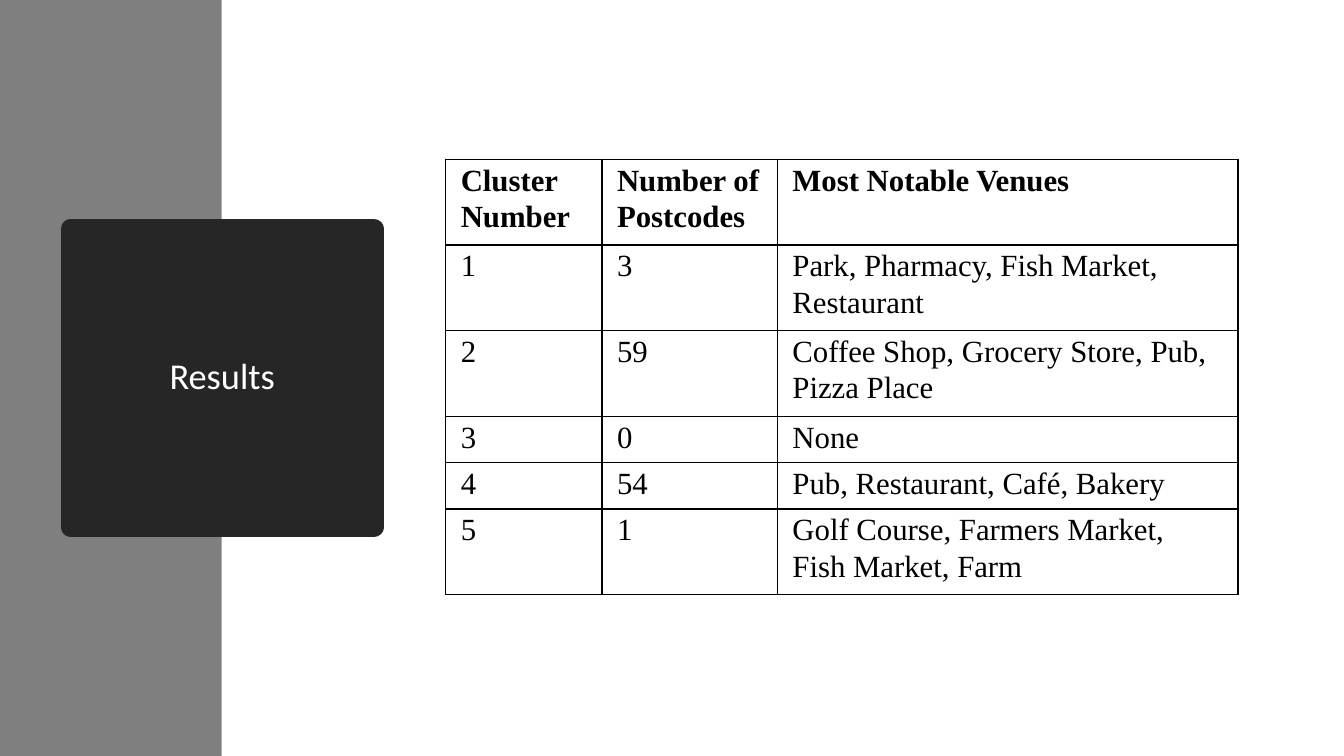
import pptx
import pptx.util
import pptx.dml.color
import pptx.enum.shapes
import pptx.enum.text
import pptx.oxml
import lxml.etree

Inches = pptx.util.Inches
Pt = pptx.util.Pt
RGB = pptx.dml.color.RGBColor.from_string
NS = "http://schemas.openxmlformats.org/drawingml/2006/main"

colors = {"band": "7F7F7F", "box": "262626", "light": "FFFFFF", "dark": "000000"}

rows = [
    ("Cluster Number", "Number of Postcodes", "Most Notable Venues"),
    ("1", "3", "Park, Pharmacy, Fish Market, Restaurant"),
    ("2", "59", "Coffee Shop, Grocery Store, Pub, Pizza Place"),
    ("3", "0", "None"),
    ("4", "54", "Pub, Restaurant, Café, Bakery"),
    ("5", "1", "Golf Course, Farmers Market, Fish Market, Farm"),
]
widths = [1.55, 1.74, 4.57]
heights = [0.85, 0.85, 0.85, 0.46, 0.46, 0.85]


def style(para, face, size, color, bold=False):
    for run in para.runs:
        run.font.name = face
        run.font.size = Pt(size)
        run.font.bold = bold
        run.font.color.rgb = RGB(colors[color])


def outline(cell):
    props = cell._tc.get_or_add_tcPr()
    for spot, side in enumerate(("lnL", "lnR", "lnT", "lnB")):
        line = pptx.oxml.parse_xml(
            f'<a:{side} xmlns:a="{NS}" w="12700"><a:solidFill>'
            f'<a:srgbClr val="{colors["dark"]}"/></a:solidFill></a:{side}>'
        )
        props.insert(spot, line)


deck = pptx.Presentation()
deck.slide_width = Inches(13.33)
deck.slide_height = Inches(7.5)
slide = deck.slides.add_slide(deck.slide_layouts[5])

title = slide.shapes.title
band = slide.shapes.add_shape(
    pptx.enum.shapes.MSO_SHAPE.RECTANGLE, 0, 0, Inches(2.2), Inches(7.5)
)
band.shadow.inherit = False
band.fill.solid()
band.fill.fore_color.rgb = RGB(colors["band"])
band.line.fill.background()
title.element.addprevious(band.element)

title.left, title.top = Inches(0.7), Inches(2.27)
title.width, title.height = Inches(3.01), Inches(2.96)
title.fill.solid()
title.fill.fore_color.rgb = RGB(colors["box"])
title.line.width = Pt(13.75)
title.line.color.rgb = RGB(colors["box"])
edge = title.element.spPr.find(f"{{{NS}}}ln")
lxml.etree.SubElement(edge, f"{{{NS}}}round")

frame = title.text_frame
frame.text = "Results"
frame.word_wrap = True
frame.auto_size = pptx.enum.text.MSO_AUTO_SIZE.NONE
frame.vertical_anchor = pptx.enum.text.MSO_ANCHOR.MIDDLE
para = frame.paragraphs[0]
para.alignment = pptx.enum.text.PP_ALIGN.CENTER
para.line_spacing = 0.9
style(para, "Calibri", 26, "light")

table = slide.shapes.add_table(
    len(rows), len(widths), Inches(4.42), Inches(1.58),
    Inches(sum(widths)), Inches(sum(heights)),
).table
table.first_row = False
table.horz_banding = False
for col, width in zip(table.columns, widths):
    col.width = Inches(width)

for r, (texts, height) in enumerate(zip(rows, heights)):
    table.rows[r].height = Inches(height)
    for c, text in enumerate(texts):
        cell = table.cell(r, c)
        cell.margin_left = cell.margin_right = Inches(0.15)
        cell.margin_top = Inches(0.02)
        cell.margin_bottom = 0
        cell.fill.background()
        outline(cell)
        cell.text_frame.text = text
        para = cell.text_frame.paragraphs[0]
        para.line_spacing = 1.07
        style(para, "Times New Roman", 22, "dark", r == 0)

deck.save("out.pptx")
